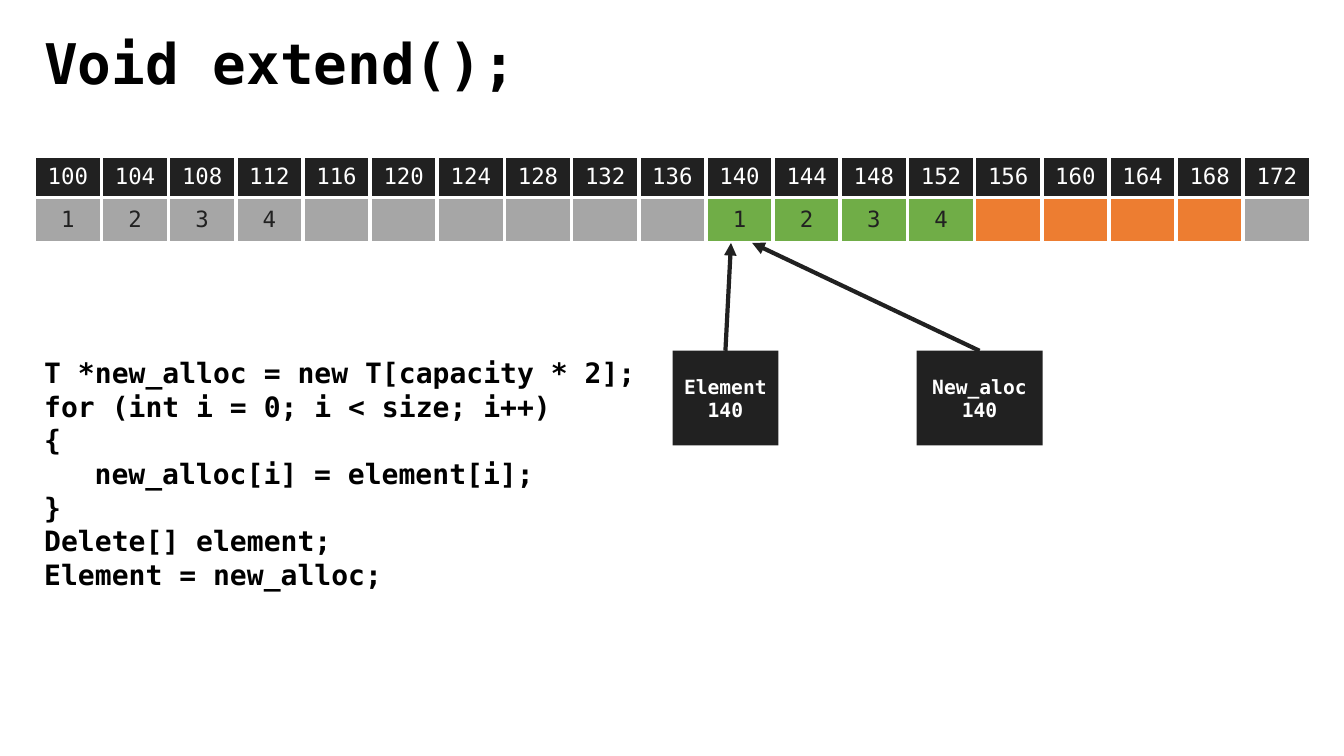
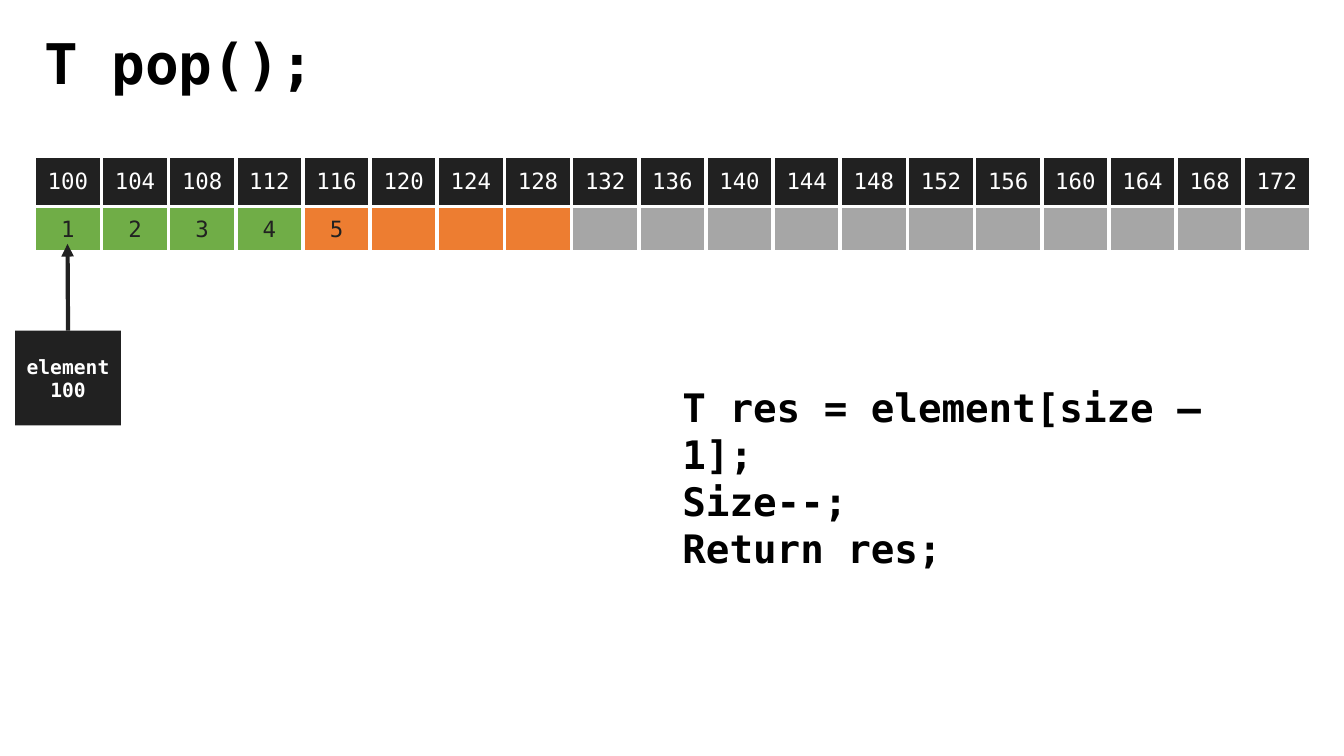
from lxml.etree import SubElement
from pptx import Presentation
from pptx.dml.color import RGBColor
from pptx.enum.shapes import MSO_CONNECTOR as CONN, MSO_SHAPE as SHAPE
from pptx.enum.text import MSO_ANCHOR as ANCHOR, PP_ALIGN as ALIGN
from pptx.oxml.ns import qn
from pptx.util import Inches, Pt

FONT = "DejaVu Sans Mono"
BLACK = RGBColor(0x00, 0x00, 0x00)
WHITE = RGBColor(0xFF, 0xFF, 0xFF)
DARK = RGBColor(0x21, 0x21, 0x21)
FREE = RGBColor(0xA6, 0xA6, 0xA6)
USED = RGBColor(0x70, 0xAD, 0x47)
SPARE = RGBColor(0xED, 0x7D, 0x31)

LEFT, WIDTH = 0.34, 12.66
MEMORY_TOP, VALUE_H = 1.55, 0.45
ADDRESSES = range(100, 173, 4)


def write(tf, text, size, color, bold=True, align=ALIGN.LEFT):
    """Fill a text frame, one paragraph for each line of text."""
    for i, line in enumerate(text.split("\n")):
        p = tf.paragraphs[0] if i == 0 else tf.add_paragraph()
        p.alignment = align
        r = p.add_run()
        r.text = line
        r.font.name, r.font.size, r.font.bold = FONT, Pt(size), bold
        r.font.color.rgb = color


def add_text(s, box, text, size):
    """Add a wrapping text box in black."""
    tf = s.shapes.add_textbox(*map(Inches, box)).text_frame
    tf.word_wrap = True
    write(tf, text, size, BLACK)


def style_cell(cell, text, fill, color):
    """Give a table cell white borders, a fill and centred text."""
    tc_pr = cell._tc.get_or_add_tcPr()
    for side in ("a:lnL", "a:lnR", "a:lnT", "a:lnB"):
        ln = SubElement(tc_pr, qn(side), w=str(Pt(3)))
        SubElement(SubElement(ln, qn("a:solidFill")), qn("a:srgbClr"), val=str(WHITE))
    cell.fill.solid()
    cell.fill.fore_color.rgb = fill
    cell.vertical_anchor = ANCHOR.MIDDLE
    if text:
        write(cell.text_frame, text, 16, color, bold=False, align=ALIGN.CENTER)


def add_memory(s, address_h, values, fills):
    """Draw the memory strip; values maps column to text, fills lists (colour, count)."""
    n = len(ADDRESSES)
    box = (LEFT, MEMORY_TOP, WIDTH, address_h + VALUE_H)
    tbl = s.shapes.add_table(2, n, *map(Inches, box)).table
    tbl.first_row = tbl.horz_banding = False
    for row, height in zip(tbl.rows, (address_h, VALUE_H)):
        row.height = Inches(height)
    colors = [color for color, count in fills for _ in range(count)]
    for i, (address, fill) in enumerate(zip(ADDRESSES, colors)):
        tbl.columns[i].width = Inches(WIDTH / n)
        style_cell(tbl.cell(0, i), str(address), DARK, WHITE)
        style_cell(tbl.cell(1, i), values.get(i), fill, DARK)


def add_pointer(s, box, text, target):
    """Draw a pointer box with an arrow from its top centre to the target."""
    x, y, w, _ = box
    sp = s.shapes.add_shape(SHAPE.RECTANGLE, *map(Inches, box))
    sp.shadow.inherit = False
    sp.fill.solid()
    sp.fill.fore_color.rgb = DARK
    sp.line.fill.background()
    sp.text_frame.word_wrap = True
    sp.text_frame.vertical_anchor = ANCHOR.MIDDLE
    write(sp.text_frame, text, 14, WHITE, align=ALIGN.CENTER)

    arrow = s.shapes.add_connector(CONN.STRAIGHT, *map(Inches, (x + w / 2, y, *target)))
    arrow.line.color.rgb = DARK
    arrow.line.width = Pt(3)
    sp_pr = arrow._element.spPr
    SubElement(sp_pr.find(qn("a:ln")), qn("a:tailEnd"), type="triangle")
    SubElement(sp_pr, qn("a:effectLst"))


def add_method_slide(prs, title):
    """Add a blank slide headed by a method signature."""
    s = prs.slides.add_slide(prs.slide_layouts[6])
    add_text(s, (LEFT, 0.23, WIDTH, 0.77), title, 40)
    return s


def extend_slide(prs):
    """Show the array copied into a block of twice the capacity."""
    s = add_method_slide(prs, "Void extend();")
    copied = {start + i: str(i + 1) for start in (0, 10) for i in range(4)}
    add_memory(s, 0.41, copied, [(FREE, 10), (USED, 4), (SPARE, 4), (FREE, 1)])
    add_pointer(s, (6.67, 3.48, 1.05, 0.94), "Element\n140", (7.25, 2.41))
    add_pointer(s, (9.09, 3.48, 1.25, 0.94), "New_aloc\n140", (7.46, 2.41))
    code = ("T *new_alloc = new T[capacity * 2];\n"
            "for (int i = 0; i < size; i++)\n"
            "{\n"
            "\tnew_alloc[i] = element[i];\n"
            "}\n"
            "Delete[] element;\n"
            "Element = new_alloc;")
    add_text(s, (LEFT, 3.48, 6.12, 2.46), code, 20)


def pop_slide(prs):
    """Show the last element leaving the array."""
    s = add_method_slide(prs, "T pop();")
    values = {i: str(i + 1) for i in range(5)}
    add_memory(s, 0.5, values, [(USED, 4), (SPARE, 4), (FREE, 11)])
    add_pointer(s, (0.15, 3.28, 1.05, 0.94), "element\n100", (0.67, 2.42))
    add_text(s, (6.67, 3.75, 5.81, 1.51),
             "T res = element[size – 1];\nSize--;\nReturn res;", 28)


prs = Presentation()
prs.slide_width, prs.slide_height = Inches(13.33), Inches(7.5)
extend_slide(prs)
pop_slide(prs)
prs.save("out.pptx")
